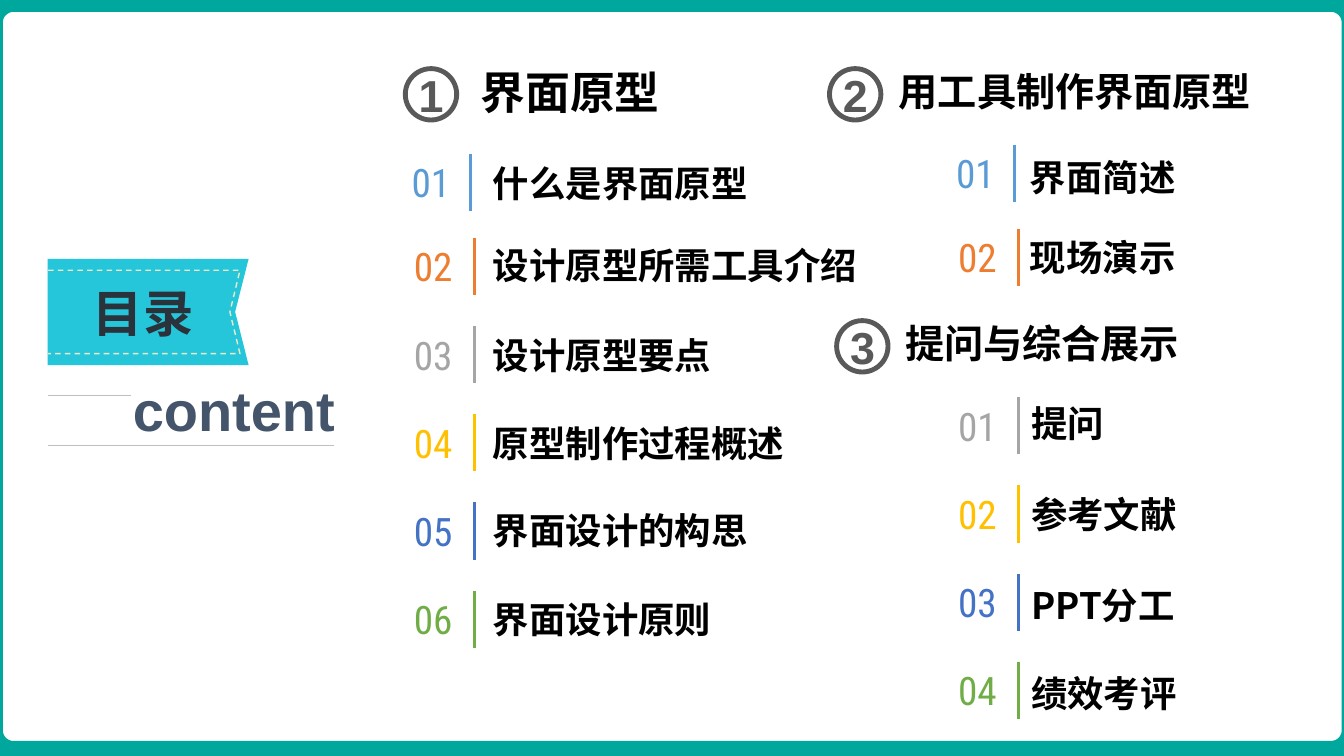
"""Build the contents slide with its ribbon, section headings and numbered items."""
from dataclasses import dataclass

from lxml.etree import SubElement
from pptx import Presentation
from pptx.dml.color import RGBColor as RGB
from pptx.enum.dml import MSO_LINE
from pptx.enum.shapes import MSO_CONNECTOR, MSO_SHAPE as SHAPE
from pptx.enum.text import MSO_ANCHOR as ANCHOR, MSO_AUTO_SIZE as AUTO, PP_ALIGN as ALIGN
from pptx.oxml.ns import qn
from pptx.util import Pt


@dataclass(frozen=True)
class Theme:
    """Colours, fonts and type sizes of the slide."""
    frame: str = "00A79D"
    ribbon: str = "26C6DA"
    stitch: str = "EDE8C8"
    title: str = "2A323B"
    subtitle: str = "44546A"
    rule: str = "BFBFBF"
    ring: str = "595959"
    text: str = "000000"
    blue: str = "5B9BD5"
    orange: str = "ED7D31"
    grey: str = "A5A5A5"
    gold: str = "FFC000"
    navy: str = "4472C4"
    green: str = "70AD47"
    latin: str = "Arial"
    cjk: str = "Noto Sans CJK SC"
    digits: str = "Roboto Condensed"
    title_size: int = 36
    subtitle_size: int = 40
    badge_size: int = 32
    number_size: int = 28
    item_size: int = 26


T = Theme()

HEADINGS = [
    ("1", "界面原型", 289.5, 49, 336.2, 65.5, 32),
    ("2", "用工具制作界面原型", 592.5, 49, 635, 65.2, 28),
    ("3", "提问与综合展示", 597.6, 229, 639.4, 245.2, 28),
]

SECTIONS = [
    (289.4, 345, 112, 60, [
        ("什么是界面原型", T.blue, 37.5), ("设计原型所需工具介绍", T.orange, 36.7)]),
    (289.4, 345, 235.2, 63, [
        ("设计原型要点", T.grey, 37.5), ("原型制作过程概述", T.gold, 37.3),
        ("界面设计的构思", T.navy, 36.2), ("界面设计原则", T.green, 36.7)]),
    (678.2, 728.5, 105.7, 60, [
        ("界面简述", T.blue, 39.6), ("现场演示", T.orange, 36.7)]),
    (678.2, 729.4, 286, 63, [
        ("提问", T.grey, 35.3), ("参考文献", T.gold, 37.4),
        ("PPT分工", T.navy, 38.9), ("绩效考评", T.green, 38.9)]),
]
FIRST_NUMBERS = [1, 3, 1, 1]


def write(sp, text, size, color, font=T.cjk, bold=True, align=ALIGN.LEFT,
          anchor=ANCHOR.MIDDLE, spacing=None):
    """Put one formatted line of text into a shape."""
    tf = sp.text_frame
    tf.auto_size = AUTO.NONE
    tf.word_wrap = False
    tf.vertical_anchor = anchor
    tf.margin_left = tf.margin_right = Pt(7.2)
    tf.margin_top = tf.margin_bottom = Pt(3.6)
    p = tf.paragraphs[0]
    p.alignment = align
    if spacing:
        p.line_spacing = spacing
    r = p.add_run()
    r.text = text
    r.font.size, r.font.bold, r.font.name = Pt(size), bold, font
    r.font.color.rgb = RGB.from_string(color)
    east = T.cjk if font == T.latin else font
    SubElement(r.font._element, qn("a:ea"), typeface=east)


def add_text(s, text, x, y, w, h, **fmt):
    """Add a text box with one line of text."""
    write(s.shapes.add_textbox(Pt(x), Pt(y), Pt(w), Pt(h)), text, **fmt)


def style(sp, fill=None, line=None, width=1, dash=None):
    """Set the fill and outline of a shape and drop its shadow."""
    sp.shadow.inherit = False
    if fill:
        sp.fill.solid()
        sp.fill.fore_color.rgb = RGB.from_string(fill)
    else:
        sp.fill.background()
    if line:
        sp.line.color.rgb = RGB.from_string(line)
        sp.line.width = Pt(width)
        sp.line.dash_style = dash
    else:
        sp.line.fill.background()


def add_preset(s, kind, x, y, w, h, **look):
    """Add a styled preset shape."""
    sp = s.shapes.add_shape(kind, Pt(x), Pt(y), Pt(w), Pt(h))
    style(sp, **look)
    return sp


def add_outline(s, points, close, **look):
    """Add a styled freeform through the given points."""
    start, *rest = [(Pt(x), Pt(y)) for x, y in points]
    fb = s.shapes.build_freeform(*start)
    fb.add_line_segments(rest, close=close)
    style(fb.convert_to_shape(), **look)


def add_line(s, x1, y1, x2, y2, color, width):
    """Add a straight line without shadow."""
    ln = s.shapes.add_connector(MSO_CONNECTOR.STRAIGHT, Pt(x1), Pt(y1), Pt(x2), Pt(y2))
    ln.line.color.rgb = RGB.from_string(color)
    ln.line.width = Pt(width)
    SubElement(ln.element.spPr, qn("a:effectLst"))


def add_ribbon(s):
    """Add the ribbon with the slide title and the subtitle below it."""
    add_outline(s, [(177.6, 260.8), (34, 260.8), (34, 185), (177.6, 185), (168, 222.8)],
                True, fill=T.ribbon)
    add_outline(s, [(34.4, 193), (171.4, 193), (164.2, 222.8), (171.4, 252.6), (34.4, 252.6)],
                False, line=T.stitch, dash=MSO_LINE.DASH)
    title = s.shapes.title
    title.left, title.top, title.width, title.height = Pt(59), Pt(197.3), Pt(87.2), Pt(51)
    write(title, "目录", size=T.title_size, color=T.title)
    s.shapes.element.append(title.element)
    add_line(s, 93.6, 282.2, 34, 282.2, T.rule, 0.5)
    add_line(s, 34, 318.2, 238.3, 318.2, T.rule, 0.5)
    add_text(s, "content", 87.8, 269.3, 166, 51.8, size=T.subtitle_size,
             color=T.subtitle, font=T.latin, spacing=0.9)


def add_heading(s, digit, text, ring_x, ring_y, x, center, size):
    """Add a ringed section number and its heading."""
    add_preset(s, SHAPE.OVAL, ring_x, ring_y, 36.7, 36.7, line=T.ring, width=3.5)
    add_text(s, digit, ring_x + 2.5, ring_y - 4.7, 32.4, 46, size=T.badge_size,
             color=T.ring, font=T.latin)
    add_text(s, text, x, center - 23, len(text) * size + 16, 46, size=size,
             color=T.text, font=T.latin)


def add_item(s, number, text, color, x, text_x, y, drop):
    """Add a number, its upright bar and the item text."""
    w = 37 if color == T.blue else 40
    add_text(s, f"{number:02d}", x, y, w, 36, size=T.number_size, color=color,
             font=T.digits, bold=False, align=ALIGN.CENTER)
    add_line(s, x + w + 9.5, y - 2.3, x + w + 9.5, y + 38.6, color, 2.25)
    add_text(s, text, text_x, y + drop - 36, len(text) * T.item_size + 16, 36,
             size=T.item_size, color=T.text, anchor=ANCHOR.BOTTOM)


def main():
    """Build and save the slide."""
    prs = Presentation()
    prs.slide_width, prs.slide_height = Pt(960), Pt(540)
    s = prs.slides.add_slide(prs.slide_layouts[5])
    frame = add_preset(s, SHAPE.ROUNDED_RECTANGLE, -6.5, 0, 973.4, 537.8,
                       line=T.frame, width=17)
    frame.adjustments[0] = 0.03
    add_ribbon(s)
    for heading in HEADINGS:
        add_heading(s, *heading)
    for first, (x, text_x, top, pitch, items) in zip(FIRST_NUMBERS, SECTIONS):
        for i, (text, color, drop) in enumerate(items):
            add_item(s, first + i, text, color, x, text_x, top + i * pitch, drop)
    prs.save("out.pptx")


if __name__ == "__main__":
    main()
